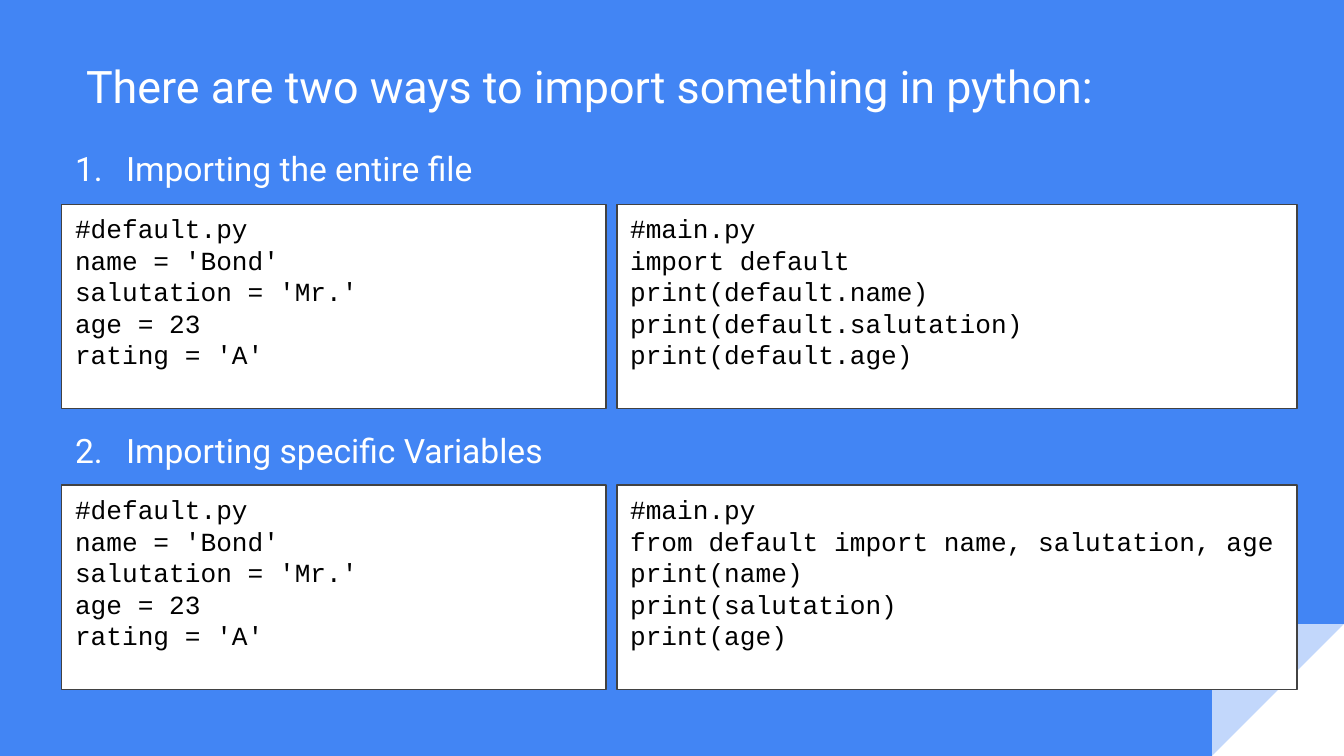
"""Build a slide that shows two ways to import in Python."""
from lxml.etree import SubElement
from pptx import Presentation
from pptx.dml.color import RGBColor
from pptx.enum.shapes import MSO_SHAPE as SHAPE
from pptx.enum.text import MSO_ANCHOR as ANCHOR, MSO_AUTO_SIZE as AUTO_SIZE, PP_ALIGN as ALIGN
from pptx.oxml.ns import qn
from pptx.util import Inches, Pt

COLORS = {"blue": "4285F4", "white": "FFFFFF", "border": "424242", "code": "000000"}


def color(name):
    return RGBColor.from_string(COLORS[name])


def write(paragraph, text, font, size, color_name):
    paragraph.alignment = ALIGN.LEFT
    run = paragraph.add_run()
    run.text = text
    run.font.name = font
    run.font.size = Pt(size)
    run.font.color.rgb = color(color_name)


presentation = Presentation()
presentation.slide_width = Inches(10)
presentation.slide_height = Inches(10 * 9 / 16)
slide = presentation.slides.add_slide(presentation.slide_layouts[5])
slide.background.fill.solid()
slide.background.fill.fore_color.rgb = color("blue")

corner_size = Inches(0.98)
corner_left = presentation.slide_width - corner_size
corner_top = presentation.slide_height - corner_size
for preset, opacity in [(SHAPE.RIGHT_TRIANGLE, 100), (SHAPE.ROUND_1_RECTANGLE, 68)]:
    corner = slide.shapes.add_shape(preset, corner_left, corner_top, corner_size, corner_size)
    corner.shadow.inherit = False
    corner.fill.solid()
    corner.fill.fore_color.rgb = color("white")
    corner.line.fill.background()
    corner._element.spPr.find(qn("a:xfrm")).set("flipH", "1")
    fill_color = corner._element.spPr.find(qn("a:solidFill"))[0]
    SubElement(fill_color, qn("a:alpha")).set("val", str(opacity * 1000))

title = slide.shapes.title
title.left, title.top, title.width, title.height = (
    Inches(0.54), Inches(0.28), Inches(9.19), Inches(0.66))
headings = slide.shapes.add_textbox(Inches(0.34), Inches(1), Inches(9.37), Inches(4.11))
for shape, anchor in [(title, ANCHOR.BOTTOM), (headings, ANCHOR.TOP)]:
    frame = shape.text_frame
    frame.word_wrap = True
    frame.auto_size = AUTO_SIZE.NONE
    frame.vertical_anchor = anchor
    frame.margin_left = frame.margin_right = Inches(0.1)
    frame.margin_top = frame.margin_bottom = Inches(0.1)
write(title.text_frame.paragraphs[0], "There are two ways to import something in python:",
      "Roboto", 24, "white")

for index, text in enumerate(["Importing the entire file", "Importing specific Variables"]):
    frame = headings.text_frame
    paragraph = frame.add_paragraph() if index else frame.paragraphs[0]
    write(paragraph, text, "Roboto", 18, "white")
    paragraph.space_before = Pt(129.5 * index)
    properties = paragraph._p.get_or_add_pPr()
    properties.set("marL", str(Inches(0.5)))
    properties.set("indent", str(Inches(-0.38)))
    bullet_color = SubElement(properties, qn("a:buClr"))
    SubElement(bullet_color, qn("a:srgbClr")).set("val", COLORS["white"])
    SubElement(properties, qn("a:buFont")).set("typeface", "Roboto")
    SubElement(properties, qn("a:buAutoNum")).set("type", "arabicPeriod")

default_file = ["#default.py", "name = 'Bond'", "salutation = 'Mr.'", "age = 23", "rating = 'A'"]
whole_import = ["#main.py", "import default", "print(default.name)",
                "print(default.salutation)", "print(default.age)"]
specific_import = ["#main.py", "from default import name, salutation, age",
                   "print(name)", "print(salutation)", "print(age)"]

for top, main_file in [(1.52, whole_import), (3.61, specific_import)]:
    for left, width, lines in [(0.46, 4.05, default_file), (4.59, 5.06, main_file)]:
        box = slide.shapes.add_shape(
            SHAPE.RECTANGLE, Inches(left), Inches(top), Inches(width), Inches(1.52))
        box.shadow.inherit = False
        box.fill.solid()
        box.fill.fore_color.rgb = color("white")
        box.line.color.rgb = color("border")
        box.line.width = Pt(0.75)
        frame = box.text_frame
        frame.word_wrap = True
        frame.vertical_anchor = ANCHOR.TOP
        frame.margin_left = frame.margin_right = Inches(0.1)
        frame.margin_top = frame.margin_bottom = Inches(0.06)
        for index, line in enumerate(lines):
            paragraph = frame.add_paragraph() if index else frame.paragraphs[0]
            paragraph.line_spacing = Pt(16.9)
            write(paragraph, line, "Courier New", 14, "code")

presentation.save("out.pptx")
